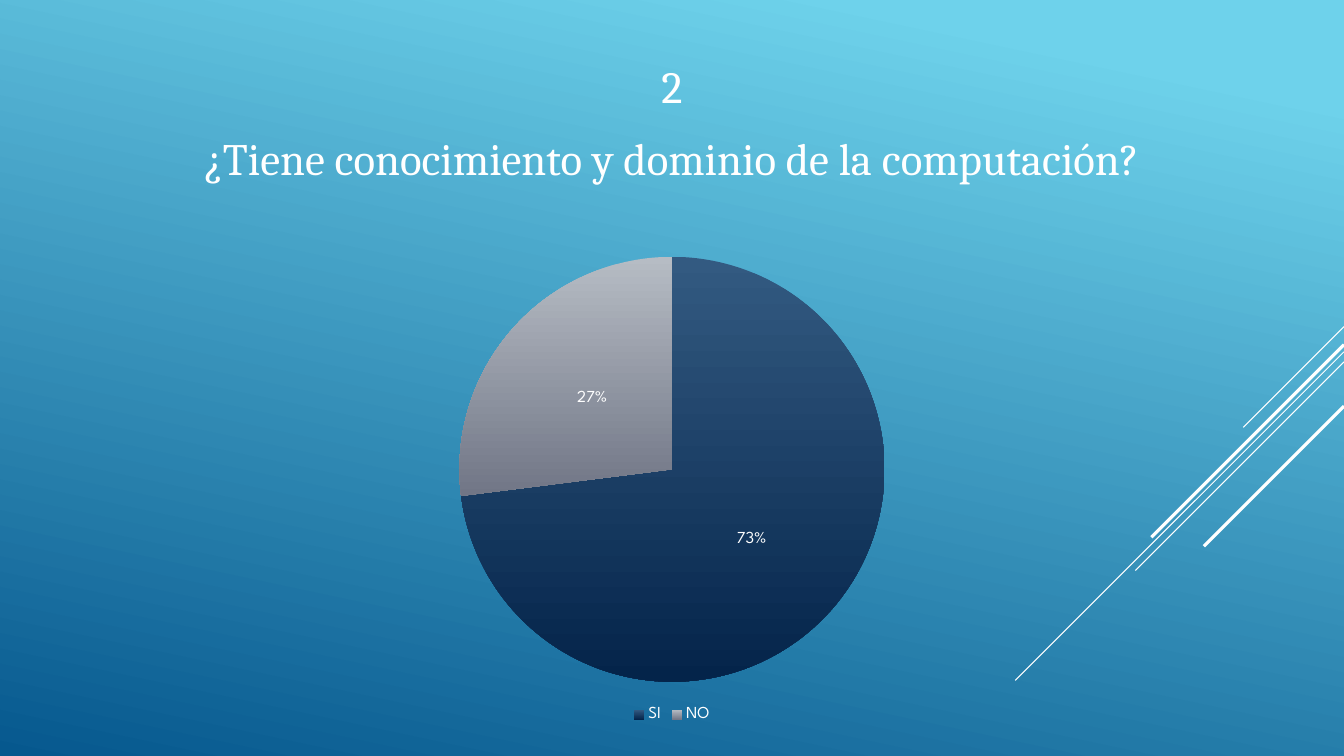
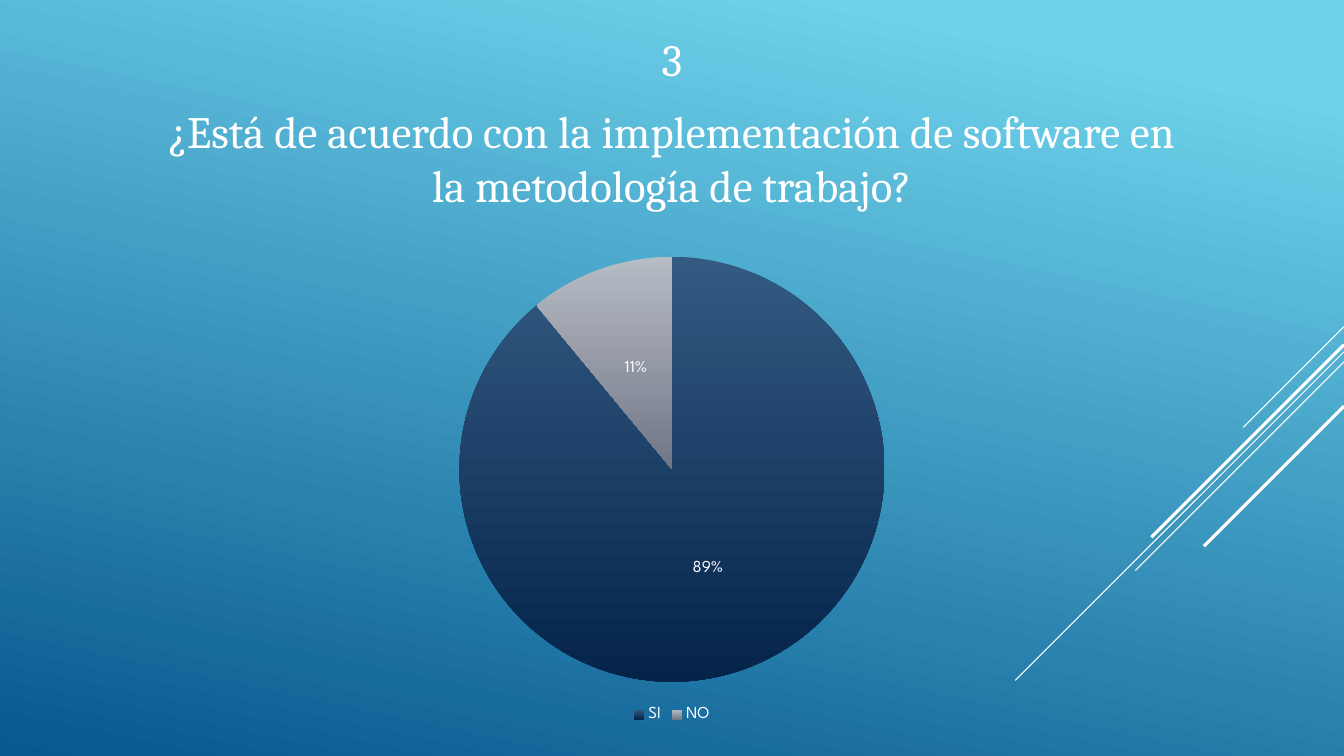
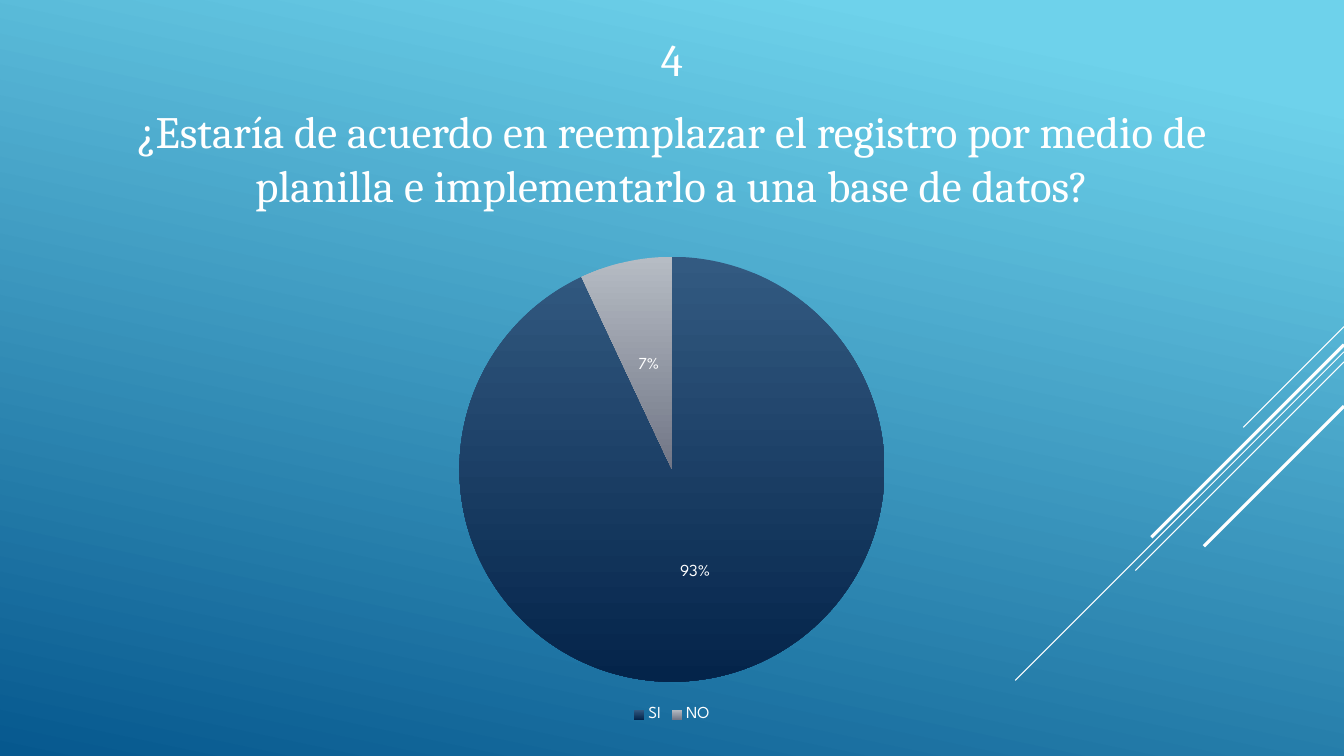
import dataclasses

import lxml.etree
import pptx
import pptx.chart.data
import pptx.dml.color
import pptx.enum.chart
import pptx.enum.shapes
import pptx.enum.text
import pptx.oxml.ns
import pptx.util

Inches = pptx.util.Inches
Pt = pptx.util.Pt


@dataclasses.dataclass(frozen=True)
class Theme:
    white: str = "FFFFFF"
    sky: tuple = ((0.1, "6ED2EB"), (1, "06588E"))
    sky_angle: int = 102
    slices: tuple = (
        ((0, "335A81"), (1, "04244A")),
        ((0, "B6BCC4"), (1, "717686")),
    )
    slice_angle: int = 90
    title_font: str = "Cambria"
    chart_font: str = "League Spartan"
    title_size: int = 32
    chart_size: int = 10
    label_size: int = 12


@dataclasses.dataclass(frozen=True)
class Box:
    left: float
    top: float
    width: float
    height: float

    def lengths(self):
        return [Inches(value) for value in dataclasses.astuple(self)]


THEME = Theme()
PAGE_WIDTH, PAGE_HEIGHT = 13.33, 7.5
TITLE_HEIGHT = 2.41
CHART_WIDTH, CHART_HEIGHT = 7.04, 4.8
ANSWERS = ("SI", "NO")
DIAGONALS = (
    (3.24, 1.0, 0.75),
    (3.49, 3.26, 0.75),
    (3.59, 2.07, 0.75),
    (3.42, 1.91, 2.25),
    (4.03, 1.39, 2.25),
)
QUESTIONS = (
    ("2", "¿Tiene conocimiento y dominio de la computación?", (73, 27), 10.41),
    ("3", "¿Está de acuerdo con la implementación de software en la metodología de trabajo?",
     (89, 11), 10.41),
    ("4", "¿Estaría de acuerdo en reemplazar el registro por medio de planilla e "
     "implementarlo a una base de datos?", (93, 7), 11.17),
)


def rgb(code):
    return pptx.dml.color.RGBColor.from_string(code)


def style_font(font, name, size):
    font.name = name
    font.size = Pt(size)
    font.color.rgb = rgb(THEME.white)


def fill_gradient(fill, stops, clockwise_angle):
    fill.gradient()
    fill.gradient_angle = 360 - clockwise_angle
    for stop, (position, color) in zip(fill.gradient_stops, stops):
        stop.position = position
        stop.color.rgb = rgb(color)


def centered_box(top, width, height):
    return Box((PAGE_WIDTH - width) / 2, top, width, height)


def decorate_master(master, page):
    fill_gradient(master.background.fill, THEME.sky, THEME.sky_angle)
    first_id = 20
    for number, (top, reach, weight) in enumerate(DIAGONALS, first_id):
        diagonal = page.shapes.add_connector(
            pptx.enum.shapes.MSO_CONNECTOR.STRAIGHT,
            Inches(PAGE_WIDTH), Inches(top),
            Inches(PAGE_WIDTH - reach), Inches(top + reach))
        diagonal.line.color.rgb = rgb(THEME.white)
        diagonal.line.width = Pt(weight)
        lxml.etree.SubElement(diagonal.element.spPr, pptx.oxml.ns.qn("a:effectLst"))
        diagonal.element.nvCxnSpPr.cNvPr.set("id", str(number))
        master.shapes.element.append(diagonal.element)


def place_title(page, box, lines):
    title = page.shapes.title
    title.left, title.top, title.width, title.height = box.lengths()
    frame = title.text_frame
    frame.word_wrap = True
    frame.auto_size = pptx.enum.text.MSO_AUTO_SIZE.NONE
    frame.vertical_anchor = pptx.enum.text.MSO_ANCHOR.MIDDLE
    for index, line in enumerate(lines):
        para = frame.add_paragraph() if index else frame.paragraphs[0]
        para.alignment = pptx.enum.text.PP_ALIGN.CENTER
        para.space_before = Pt(7.5)
        para.space_after = Pt(6)
        span = para.add_run()
        span.text = line
        style_font(span.font, THEME.title_font, THEME.title_size)


def place_pie(page, box, values):
    data = pptx.chart.data.CategoryChartData()
    data.categories = ANSWERS
    data.add_series("Series 1", values)
    chart = page.shapes.add_chart(
        pptx.enum.chart.XL_CHART_TYPE.PIE, *box.lengths(), data).chart
    style_font(chart.font, THEME.chart_font, THEME.chart_size)
    chart.has_title = False
    chart.has_legend = True
    chart.legend.position = pptx.enum.chart.XL_LEGEND_POSITION.BOTTOM
    chart.legend.include_in_layout = False
    style_font(chart.legend.font, THEME.chart_font, THEME.label_size)

    plot = chart.plots[0]
    plot.vary_by_categories = True
    series = plot.series[0]
    for index, stops in enumerate(THEME.slices):
        point = series.points[index]
        fill_gradient(point.format.fill, stops, THEME.slice_angle)
        point.format.line.fill.background()

    labels = series.data_labels
    labels.show_value = False
    labels.show_percentage = True
    labels.number_format = "0%"
    labels.number_format_is_linked = False
    labels.position = pptx.enum.chart.XL_LABEL_POSITION.CENTER
    style_font(labels.font, THEME.chart_font, THEME.label_size)


def build_question(page, number, question, values, title_width):
    place_title(page, centered_box(0, title_width, TITLE_HEIGHT), (number, question))
    place_pie(page, centered_box(TITLE_HEIGHT, CHART_WIDTH, CHART_HEIGHT), values)


deck = pptx.Presentation()
deck.slide_width, deck.slide_height = Inches(PAGE_WIDTH), Inches(PAGE_HEIGHT)
title_only = deck.slide_layouts.get_by_name("Title Only")
pages = [deck.slides.add_slide(title_only) for _ in QUESTIONS]
decorate_master(deck.slide_master, pages[0])
for page, details in zip(pages, QUESTIONS):
    build_question(page, *details)
deck.save("out.pptx")
